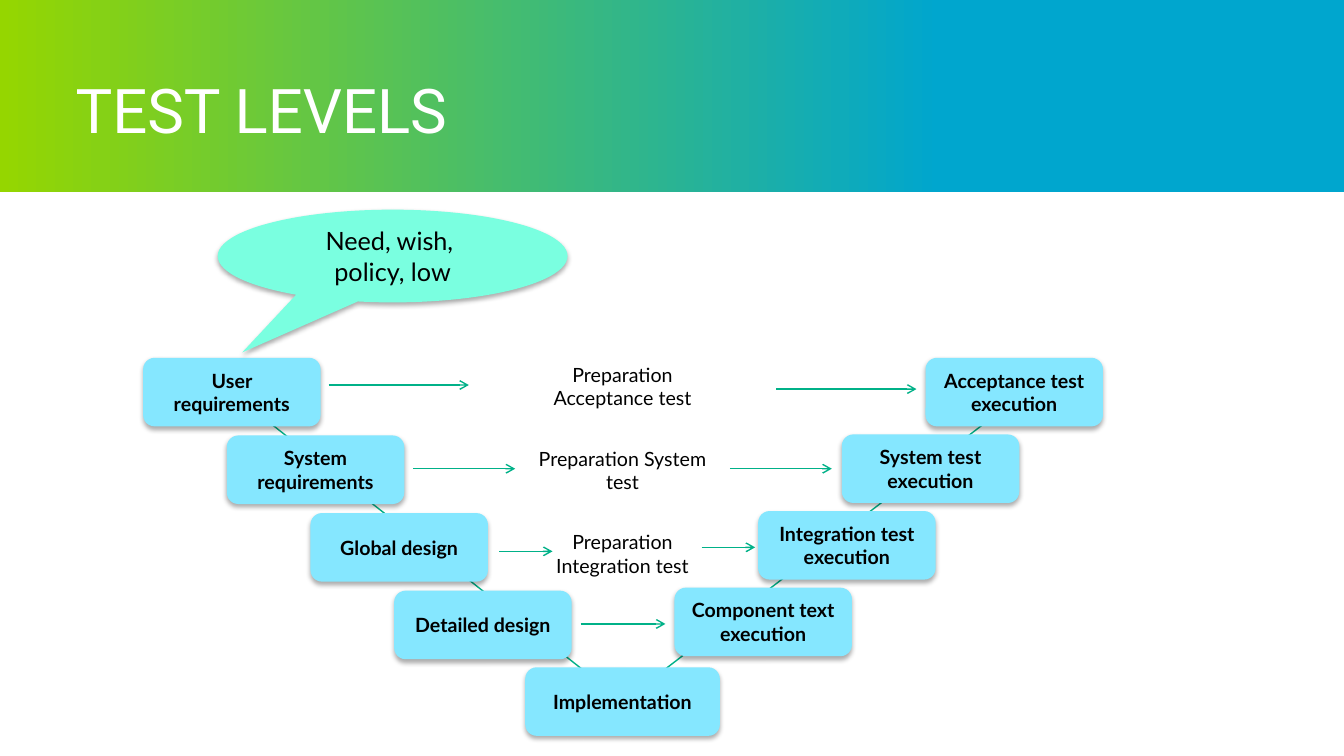
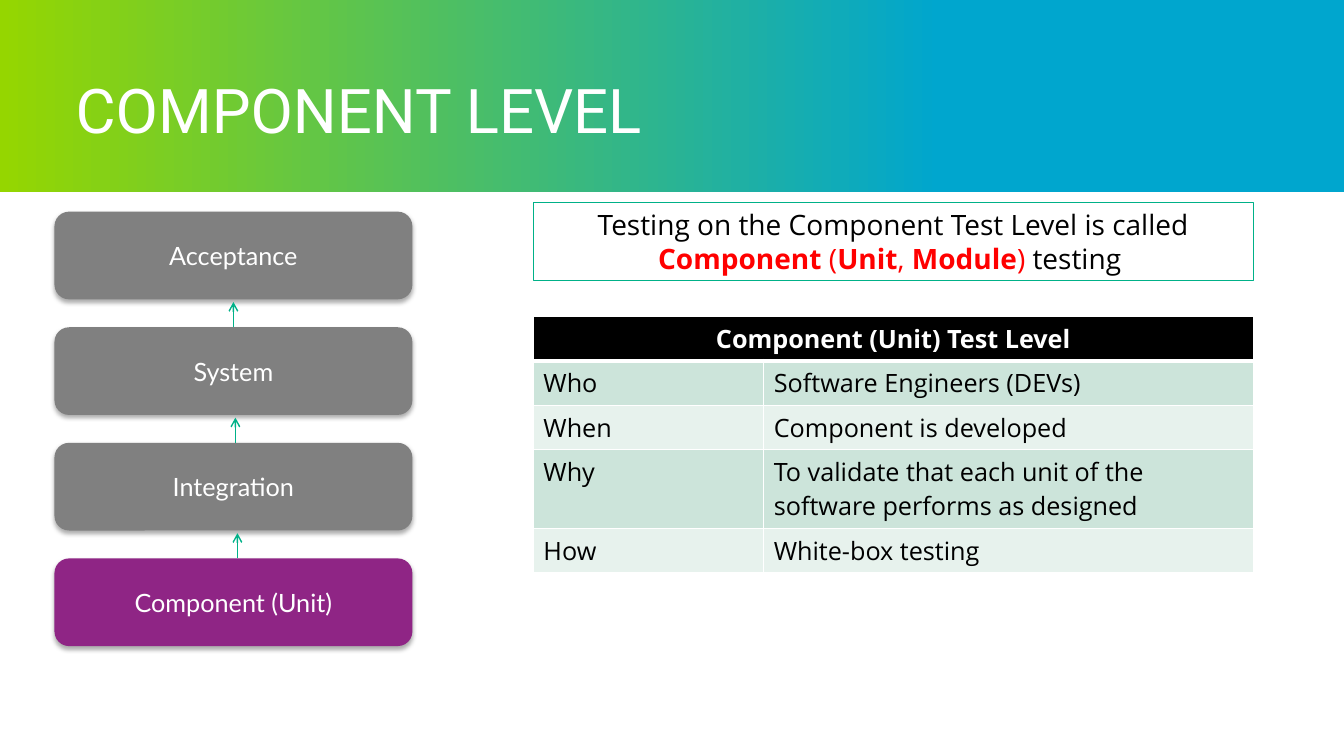
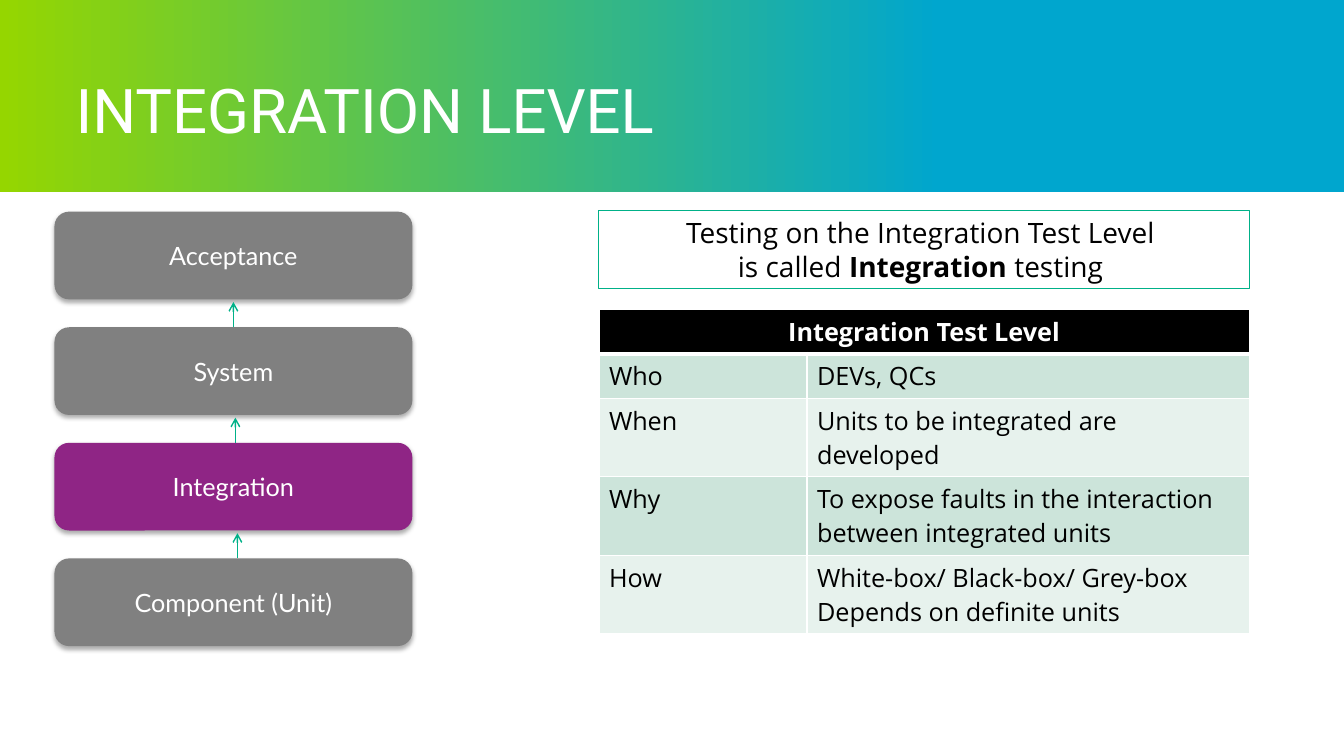
import dataclasses

import pptx
import pptx.dml.color
import pptx.enum.shapes
import pptx.enum.text
import pptx.oxml
import pptx.oxml.ns
import pptx.util

Inches = pptx.util.Inches
Pt = pptx.util.Pt
qn = pptx.oxml.ns.qn
Shape = pptx.enum.shapes.MSO_SHAPE
Align = pptx.enum.text.PP_ALIGN
Anchor = pptx.enum.text.MSO_ANCHOR
SPACE = pptx.oxml.ns.nsdecls("a")


@dataclasses.dataclass(frozen=True)
class Theme:
    blue: str = "00A6CE"
    lime: str = "95D600"
    green: str = "00B188"
    sky: str = "85E7FF"
    mint: str = "7AFFE0"
    gray: str = "808080"
    plum: str = "8F2585"
    red: str = "FF0000"
    white: str = "FFFFFF"
    black: str = "000000"
    rows: tuple = ("CCE4DA", "E7F2ED")
    head: str = "Roboto"
    label: str = "Lato"
    body: str = "Open Sans"
    title: int = 44
    note: int = 20
    text: int = 18
    small: int = 14


THEME = Theme()


def color(code):
    return pptx.dml.color.RGBColor.from_string(code)


def write(frame, paras, font, size, ink=THEME.black, bold=False, align=Align.CENTER):
    frame.word_wrap = True
    for i, runs in enumerate(paras):
        para = frame.paragraphs[0] if i == 0 else frame.add_paragraph()
        para.alignment = align
        para.font.name = font
        para.font.size = Pt(size)
        para.font.bold = bold
        para.font.color.rgb = color(ink)
        for part in [(runs, bold, ink)] if isinstance(runs, str) else runs:
            run = para.add_run()
            run.text, heavy, tone = part
            if heavy != bold:
                run.font.bold = heavy
            if tone != ink:
                run.font.color.rgb = color(tone)


def add_shape(slide, kind, x, y, w, h, fill=None):
    shape = slide.shapes.add_shape(kind, Inches(x), Inches(y), Inches(w), Inches(h))
    shape.shadow.inherit = False
    shape.line.fill.background()
    if fill:
        shape.fill.solid()
        shape.fill.fore_color.rgb = color(fill)
    else:
        shape.fill.background()
    return shape


def add_card(slide, kind, x, y, w, h, fill, paras, size, ink=THEME.black, bold=False):
    card = add_shape(slide, kind, x, y, w, h, fill)
    shade = pptx.oxml.parse_xml(
        f'<a:outerShdw {SPACE} blurRad="{Pt(3.5)}" dist="{Pt(2.2)}" dir="5400000" rotWithShape="0">'
        f'<a:srgbClr val="{THEME.black}"><a:alpha val="32000"/></a:srgbClr></a:outerShdw>'
    )
    card.element.spPr.find(qn("a:effectLst")).append(shade)
    card.text_frame.vertical_anchor = Anchor.MIDDLE
    write(card.text_frame, paras, THEME.label, size, ink, bold)
    return card


def add_line(slide, x1, y1, x2, y2, arrow=True):
    line = slide.shapes.add_connector(
        pptx.enum.shapes.MSO_CONNECTOR.STRAIGHT, Inches(x1), Inches(y1), Inches(x2), Inches(y2)
    )
    line.line.color.rgb = color(THEME.green)
    line.line.width = Pt(1)
    props = line.element.spPr
    if arrow:
        props.find(qn("a:ln")).append(pptx.oxml.parse_xml(f'<a:tailEnd {SPACE} type="arrow"/>'))
    props.append(pptx.oxml.parse_xml(f"<a:effectLst {SPACE}/>"))


def add_page(deck, title):
    slide = deck.slides.add_slide(deck.slide_layouts[6])
    band = add_shape(slide, Shape.RECTANGLE, 0, 0, 13.33, 1.91)
    band.fill.gradient()
    band.fill.gradient_angle = 180
    for stop, tone, place in zip(band.fill.gradient_stops, (THEME.blue, THEME.lime), (0.3, 1)):
        stop.color.rgb = color(tone)
        stop.position = place
    box = slide.shapes.add_textbox(Inches(0.75), Inches(0.75), Inches(11.83), Inches(0.75))
    box.text_frame.margin_left = 0
    box.text_frame.vertical_anchor = Anchor.MIDDLE
    write(box.text_frame, [title], THEME.head, THEME.title, THEME.white, align=Align.LEFT)
    box.text_frame.paragraphs[0].line_spacing = 0.9
    return slide


def draw_vee(slide, x, y):
    wide, high, step, top = 1.76, 0.68, 0.83, y + 1.47
    left = ["User requirements", "System requirements", "Global design", "Detailed design"]
    right = ["Acceptance test execution", "System test execution",
             "Integration test execution", "Component text execution"]
    middle = ["Preparation Acceptance test", "Preparation System test", "Preparation Integration test"]
    arrows = [(1.84, 3.23, 1.74), (6.28, 7.67, 1.78), (2.68, 3.69, 2.57), (5.82, 6.83, 2.57),
              (3.53, 4.06, 3.39), (5.54, 6.07, 3.35), (4.34, 5.18, 4.11)]

    def add_step(text, dx, dy, w=wide):
        add_card(slide, Shape.ROUNDED_RECTANGLE, x + dx, top + dy, w, high,
                 THEME.sky, [text], THEME.small, bold=True)

    add_line(slide, x + 0.87, y + 1.81, x + 4.76, y + 4.88, False)
    add_line(slide, x + 4.76, y + 4.88, x + 8.63, y + 1.9, False)
    for i, (plan, test) in enumerate(zip(left, right)):
        add_step(plan, step * i, 0.77 * i)
        add_step(test, 7.76 - step * i, 0.76 * i)
    add_step("Implementation", 3.79, 3.07, 1.93)
    for i, text in enumerate(middle):
        box = slide.shapes.add_textbox(
            Inches(x + 3.79), Inches(top + 0.83 * i), Inches(1.93), Inches(0.63)
        )
        write(box.text_frame, [text], THEME.label, THEME.small)
    for start, end, dy in arrows:
        add_line(slide, x + start, y + dy, x + end, y + dy)
    bubble = add_card(slide, Shape.OVAL_CALLOUT, x + 0.74, y, 3.47, 0.92, THEME.mint,
                      ["Need, wish, ", "policy, low"], THEME.text)
    bubble.adjustments[0] = -0.43
    bubble.adjustments[1] = 1.04


def draw_stack(slide, x, y, w, h, active):
    names = ["Acceptance", "System", "Integration", "Component (Unit)"]
    high = 0.87
    step = (h - high) / (len(names) - 1)
    for i, name in enumerate(names):
        top = y + step * i
        fill = THEME.plum if name == active else THEME.gray
        add_card(slide, Shape.ROUNDED_RECTANGLE, x, top, w, high, fill, [name], THEME.text, THEME.white)
        if i:
            mid = x + w / 2 + 0.02 * (i - 1)
            add_line(slide, mid, top, mid, top - 0.25)


def draw_note(slide, x, y, w, paras):
    note = add_shape(slide, Shape.RECTANGLE, x, y, w, 0.77)
    note.line.color.rgb = color(THEME.green)
    note.line.width = Pt(0.75)
    note.text_frame.vertical_anchor = Anchor.TOP
    write(note.text_frame, paras, THEME.body, THEME.note)


def fill_cell(cell, text, fill, ink, bold, align, over, under):
    cell.fill.solid()
    cell.fill.fore_color.rgb = color(fill)
    write(cell.text_frame, text.split("\n"), THEME.body, THEME.text, ink, bold, align)
    props = cell._tc.get_or_add_tcPr()
    for i, (side, width) in enumerate(zip("LRTB", (1, 1, over, under))):
        props.insert(i, pptx.oxml.parse_xml(
            f'<a:ln{side} {SPACE} w="{Pt(width)}"><a:solidFill>'
            f'<a:srgbClr val="{THEME.white}"/></a:solidFill></a:ln{side}>'
        ))


def draw_table(slide, x, y, w, title, facts):
    sizes = [0.44] + [0.1 + 0.34 * lines for _, _, lines in facts]
    frame = slide.shapes.add_table(
        len(sizes), 2, Inches(x), Inches(y), Inches(w), Inches(sum(sizes))
    )
    table = frame.table
    for row, size in zip(table.rows, sizes):
        row.height = Inches(size)
    for col, share in zip(table.columns, (0.32, 0.68)):
        col.width = Inches(w * share)
    table.cell(0, 0).merge(table.cell(0, 1))
    for i, text in enumerate((title, "")):
        fill_cell(table.cell(0, i), text, THEME.black, THEME.white, True, Align.CENTER, 1, 3)
    for r, (key, answer, _) in enumerate(facts, 1):
        for c, text in enumerate((key, answer)):
            fill_cell(table.cell(r, c), text, THEME.rows[(r - 1) % 2], THEME.black, False,
                      Align.LEFT, 3 if r == 1 else 1, 1)


def add_level(deck, title, active, x, w, tops, note, head, facts):
    slide = add_page(deck, title)
    draw_stack(slide, 0.54, 2.1, 3.55, 4.31, active)
    draw_table(slide, x, tops[1], w, head, facts)
    draw_note(slide, x, tops[0], w, note)


def main():
    deck = pptx.Presentation()
    deck.slide_width = Inches(13.33)
    deck.slide_height = Inches(7.5)

    draw_vee(add_page(deck, "TEST LEVELS"), 1.42, 2.08)

    black, red = THEME.black, THEME.red
    add_level(
        deck, "COMPONENT LEVEL", "Component (Unit)", 5.29, 7.14, (2.01, 3.14),
        [[("Testing on the Component Test Level is called ", False, black),
          ("Component", True, red), (" (", False, red), ("Unit", True, red), (", ", False, red),
          ("Module", True, red), (")", False, red), (" testing ", False, black)]],
        "Component (Unit) Test Level",
        [("Who", "Software Engineers (DEVs)", 1),
         ("When", "Component is developed", 1),
         ("Why", "To validate that each unit of the software performs as designed", 2),
         ("How", "White-box testing", 1)],
    )
    add_level(
        deck, "INTEGRATION LEVEL", "Integration", 5.94, 6.45, (2.09, 3.07),
        ["Testing on the Integration Test Level ",
         [("is called ", False, black), ("Integration", True, black), (" testing ", False, black)]],
        "Integration Test Level",
        [("Who", "DEVs, QCs", 1),
         ("When", "Units to be integrated are developed", 2),
         ("Why", "To expose faults in the interaction between integrated units", 2),
         ("How", "White-box/ Black-box/ Grey-box\nDepends on definite units", 2)],
    )
    deck.save("out.pptx")


if __name__ == "__main__":
    main()
